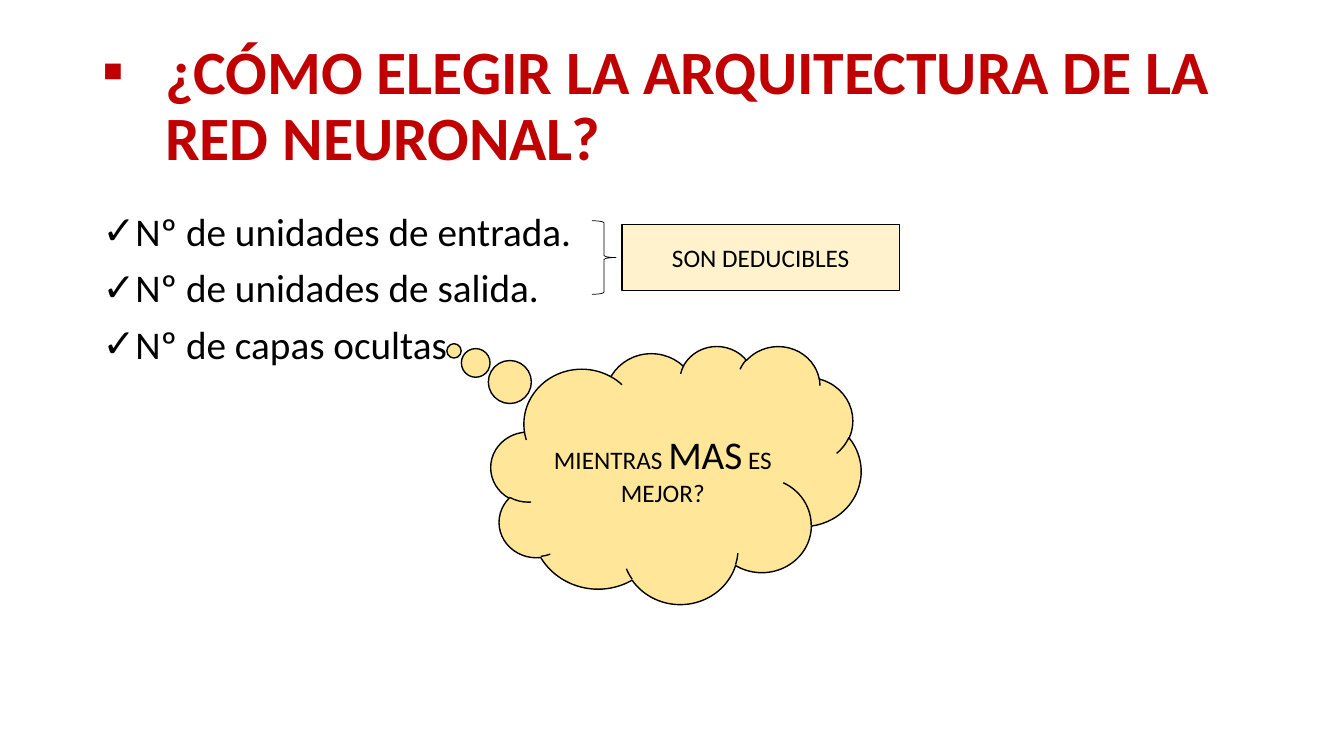
from lxml.etree import SubElement
from pptx import Presentation
from pptx.dml.color import RGBColor
from pptx.enum.shapes import MSO_SHAPE
from pptx.enum.text import MSO_ANCHOR, PP_ALIGN
from pptx.oxml.ns import qn
from pptx.util import Inches, Pt


def add_run(p, text, size, color="000000", bold=False):
    r = p.add_run()
    r.text = text
    r.font.name = "Calibri"
    r.font.size = Pt(size)
    r.font.bold = bold
    r.font.color.rgb = RGBColor.from_string(color)


def set_bullet(p, char, indent):
    """Give the paragraph a bullet with a hanging indent in inches."""
    pPr = p._p.get_or_add_pPr()
    pPr.set("marL", str(Inches(indent)))
    pPr.set("indent", str(-Inches(indent)))
    SubElement(pPr, qn("a:buFont"), typeface="Calibri")
    SubElement(pPr, qn("a:buChar"), char=char)


prs = Presentation()
prs.slide_width, prs.slide_height = Inches(13.33), Inches(7.5)
s = prs.slides.add_slide(prs.slide_layouts[6])

# Title and list
texts = [
    (0.34, 1.45, MSO_ANCHOR.MIDDLE, "▪", 0.62, 0, 44, "C00000", True,
     ["¿CÓMO ELEGIR LA ARQUITECTURA DE LA RED NEURONAL?"]),
    (2.06, 4.76, MSO_ANCHOR.TOP, "✓", 0.25, 10, 28, "000000", False,
     ["Nº de unidades de entrada.", "Nº de unidades de salida.", "Nº de capas ocultas"]),
]
for top, height, anchor, char, indent, before, size, color, bold, lines in texts:
    tf = s.shapes.add_textbox(Inches(0.92), Inches(top), Inches(11.5), Inches(height)).text_frame
    tf.word_wrap = True
    tf.vertical_anchor = anchor
    for i, line in enumerate(lines):
        p = tf.add_paragraph() if i else tf.paragraphs[0]
        p.line_spacing = 0.9
        p.space_before = Pt(before)
        set_bullet(p, char, indent)
        add_run(p, line, size, color, bold)

# Brace, deduction box and thought cloud
shapes = [
    (MSO_SHAPE.RIGHT_BRACE, 5.87, 2.19, 0.24, 0.73, None, 0.5, [], []),
    (MSO_SHAPE.RECTANGLE, 6.17, 2.23, 2.75, 0.65, "FFF2CC", 1, [],
     [("SON DEDUCIBLES", 18)]),
    (MSO_SHAPE.CLOUD_CALLOUT, 4.87, 3.43, 3.67, 2.56, "FFE699", 1, [-0.6, -0.48],
     [("MIENTRAS ", 18), ("MAS", 28), (" ES MEJOR?", 18)]),
]
for kind, left, top, width, height, fill, weight, adjustments, runs in shapes:
    sp = s.shapes.add_shape(kind, Inches(left), Inches(top), Inches(width), Inches(height))
    sp.shadow.inherit = False
    for i, value in enumerate(adjustments):
        sp.adjustments[i] = value
    if fill:
        sp.fill.solid()
        sp.fill.fore_color.rgb = RGBColor.from_string(fill)
    else:
        sp.fill.background()
    sp.line.color.rgb = RGBColor.from_string("000000")
    sp.line.width = Pt(weight)
    tf = sp.text_frame
    tf.word_wrap = True
    tf.vertical_anchor = MSO_ANCHOR.MIDDLE
    p = tf.paragraphs[0]
    p.alignment = PP_ALIGN.CENTER
    for text, size in runs:
        add_run(p, text, size)

prs.save("out.pptx")
